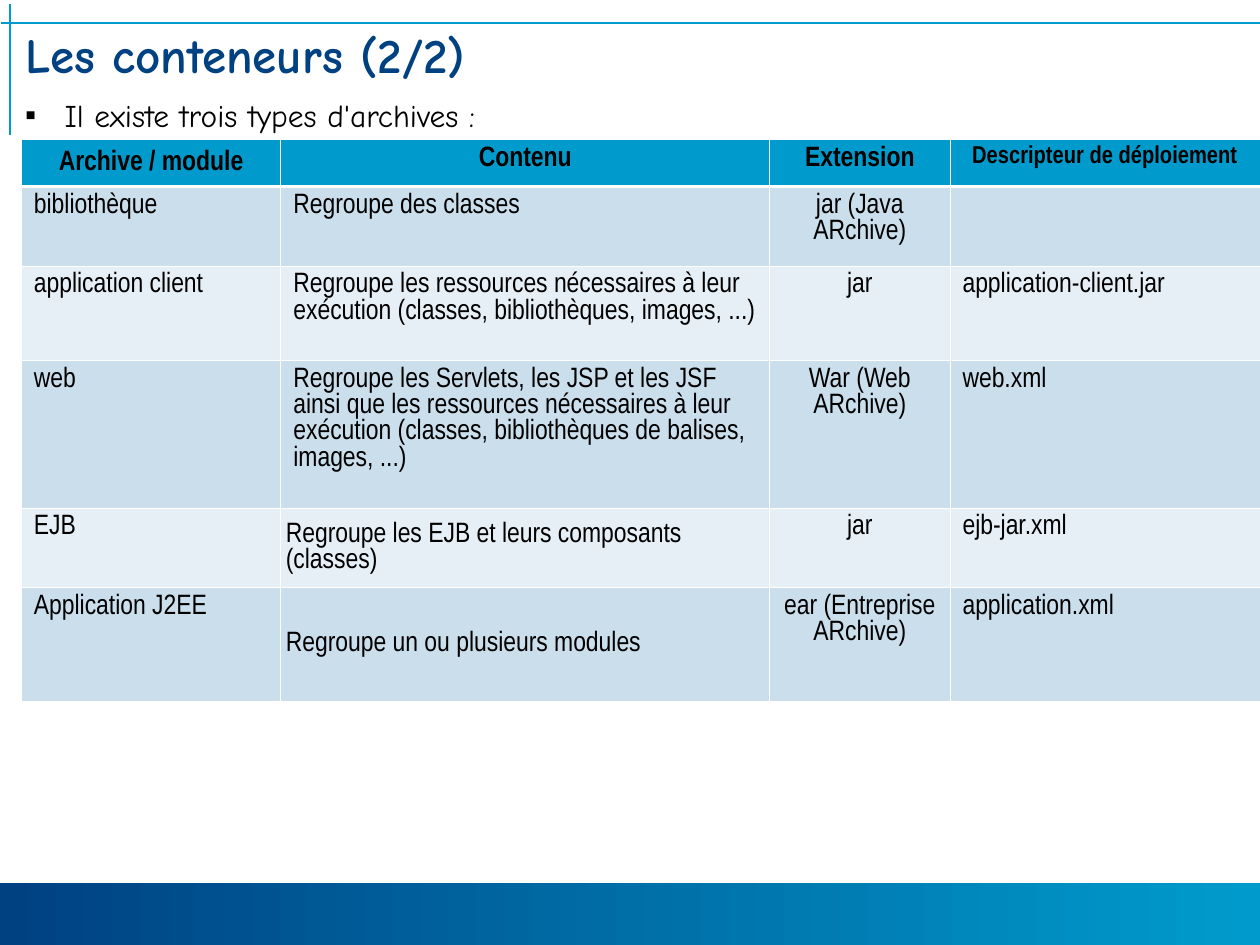
from lxml.etree import SubElement
from pptx import Presentation
from pptx.dml.color import RGBColor as RGB
from pptx.enum.shapes import MSO_CONNECTOR as Connector, MSO_SHAPE as Preset
from pptx.enum.text import MSO_ANCHOR as Anchor, MSO_AUTO_SIZE as AutoSize, PP_ALIGN as Align
from pptx.oxml.ns import qn
from pptx.util import Pt

COLORS = {"navy": "004182", "cyan": "009BCC", "band": "CBDEEC",
          "pale": "E7EFF6", "ink": "000000", "rule": "FFFFFF"}
COLUMNS = [148.3, 279.4, 103, 177.1]
ROWS = [26.6, 45.4, 54, 84.2, 44.6, 64.8]
ARCHIVES = [
    ["Archive / module", "Contenu", "Extension", "Descripteur de déploiement"],
    ["bibliothèque", "Regroupe des classes", "jar (Java ARchive)", ""],
    ["application client",
     "Regroupe les ressources nécessaires à leur exécution (classes, bibliothèques, images, ...)",
     "jar", "application-client.jar"],
    ["web",
     "Regroupe les Servlets, les JSP et les JSF ainsi que les ressources nécessaires à leur "
     "exécution (classes, bibliothèques de balises, images, ...)",
     "War (Web ARchive)", "web.xml"],
    ["EJB", "Regroupe les EJB et leurs composants (classes)", "jar", "ejb-jar.xml"],
    ["Application J2EE", "Regroupe un ou plusieurs modules", "ear (Entreprise ARchive)",
     "application.xml"],
]
MIDDLE_CELLS = {(0, 0), (4, 1), (5, 1)}
EXTENSION = 2


class Deck:
    heading_font = "Comic Neue"
    table_font = "Arial Narrow"

    def __init__(self):
        self.prs = Presentation()
        self.prs.slide_width, self.prs.slide_height = Pt(720), Pt(540)
        self.slide = self.prs.slides.add_slide(self.prs.slide_layouts[1])

    def color(self, name):
        return RGB.from_string(COLORS[name])

    def add_text(self, paragraph, text, font, size, color="ink", bold=False):
        run = paragraph.add_run()
        run.text = text
        run.font.name, run.font.size, run.font.bold = font, Pt(size), bold
        run.font.color.rgb = self.color(color)

    def place(self, placeholder, left, top, width, height, inset):
        placeholder.left, placeholder.top = Pt(left), Pt(top)
        placeholder.width, placeholder.height = Pt(width), Pt(height)
        frame = placeholder.text_frame
        frame.word_wrap = True
        frame.margin_left = frame.margin_right = Pt(7.2)
        frame.margin_top = frame.margin_bottom = Pt(inset)
        return frame

    def title(self, text, *box):
        frame = self.place(self.slide.shapes.title, *box, 3)
        frame.auto_size = AutoSize.NONE
        frame.vertical_anchor = Anchor.MIDDLE
        heading = frame.paragraphs[0]
        heading.alignment = Align.LEFT
        heading.line_spacing = 0.85
        self.add_text(heading, text, self.heading_font, 28, "navy", True)

    def bullet(self, text, *box):
        frame = self.place(self.slide.placeholders[1], *box, 3.6)
        frame.auto_size = AutoSize.SHAPE_TO_FIT_TEXT
        item = frame.paragraphs[0]
        item.space_before = Pt(0)
        props = item._p.get_or_add_pPr()
        props.set("marL", str(Pt(22.5)))
        props.set("indent", str(-Pt(22.5)))
        tint = SubElement(props, qn("a:buClr"))
        SubElement(tint, qn("a:srgbClr"), val=COLORS["ink"])
        SubElement(props, qn("a:buFont"), typeface="Arial")
        SubElement(props, qn("a:buChar"), char="▪")
        self.add_text(item, text, self.heading_font, 18)

    def line(self, *ends):
        rule = self.slide.shapes.add_connector(Connector.STRAIGHT, *map(Pt, ends))
        rule.line.color.rgb = self.color("cyan")
        rule.line.width = Pt(1)
        SubElement(rule._element.spPr, qn("a:effectLst"))

    def gradient_bar(self, start, end, *box):
        bar = self.slide.shapes.add_shape(Preset.RECTANGLE, *map(Pt, box))
        bar.shadow.inherit = False
        bar.line.fill.background()
        bar.fill.gradient()
        bar.fill.gradient_angle = 0
        for stop, name in zip(bar.fill.gradient_stops, (start, end)):
            stop.color.rgb = self.color(name)

    def borders(self, cell, row):
        widths = {"lnL": 0.45, "lnR": 0.45,
                  "lnT": 1.47 if row == 1 else 0.45,
                  "lnB": 1.47 if row == 0 else 0.45}
        for side, width in widths.items():
            edge = SubElement(cell._tc.get_or_add_tcPr(), qn(f"a:{side}"), w=str(Pt(width)))
            fill = SubElement(edge, qn("a:solidFill"))
            SubElement(fill, qn("a:srgbClr"), val=COLORS["rule"])

    def cell(self, cell, text, row, col):
        header, middle = row == 0, (row, col) in MIDDLE_CELLS
        self.borders(cell, row)
        cell.fill.solid()
        cell.fill.fore_color.rgb = self.color("cyan" if header else "band" if row % 2 else "pale")
        cell.margin_left = cell.margin_right = Pt(2.9 if middle else 7.2)
        cell.margin_top = cell.margin_bottom = Pt(3.6)
        cell.vertical_anchor = Anchor.MIDDLE if middle else Anchor.TOP
        entry = cell.text_frame.paragraphs[0]
        entry.alignment = Align.CENTER if header or col == EXTENSION else Align.LEFT
        if text:
            size = 14 if header and col == len(COLUMNS) - 1 else 16
            self.add_text(entry, text, self.table_font, size, bold=header)

    def table(self, records, left, top):
        box = map(Pt, (left, top, sum(COLUMNS), sum(ROWS)))
        grid = self.slide.shapes.add_table(len(ROWS), len(COLUMNS), *box).table
        for column, width in zip(grid.columns, COLUMNS):
            column.width = Pt(width)
        for row, (record, height) in enumerate(zip(records, ROWS)):
            grid.rows[row].height = Pt(height)
            for col, text in enumerate(record):
                self.cell(grid.cell(row, col), text, row, col)


def main():
    deck = Deck()
    deck.gradient_bar("navy", "cyan", 0, 504.7, 720, 37.4)
    deck.line(0.7, 13, 720, 13)
    deck.line(5.8, 2.2, 5.8, 77)
    deck.title("Les conteneurs (2/2)", 7.2, 15.8, 707.8, 35.3)
    deck.bullet("Il existe trois types d'archives :", 7.2, 51.1, 686.2, 28.8)
    deck.table(ARCHIVES, 12.2, 79.9)
    deck.prs.save("out.pptx")


if __name__ == "__main__":
    main()
